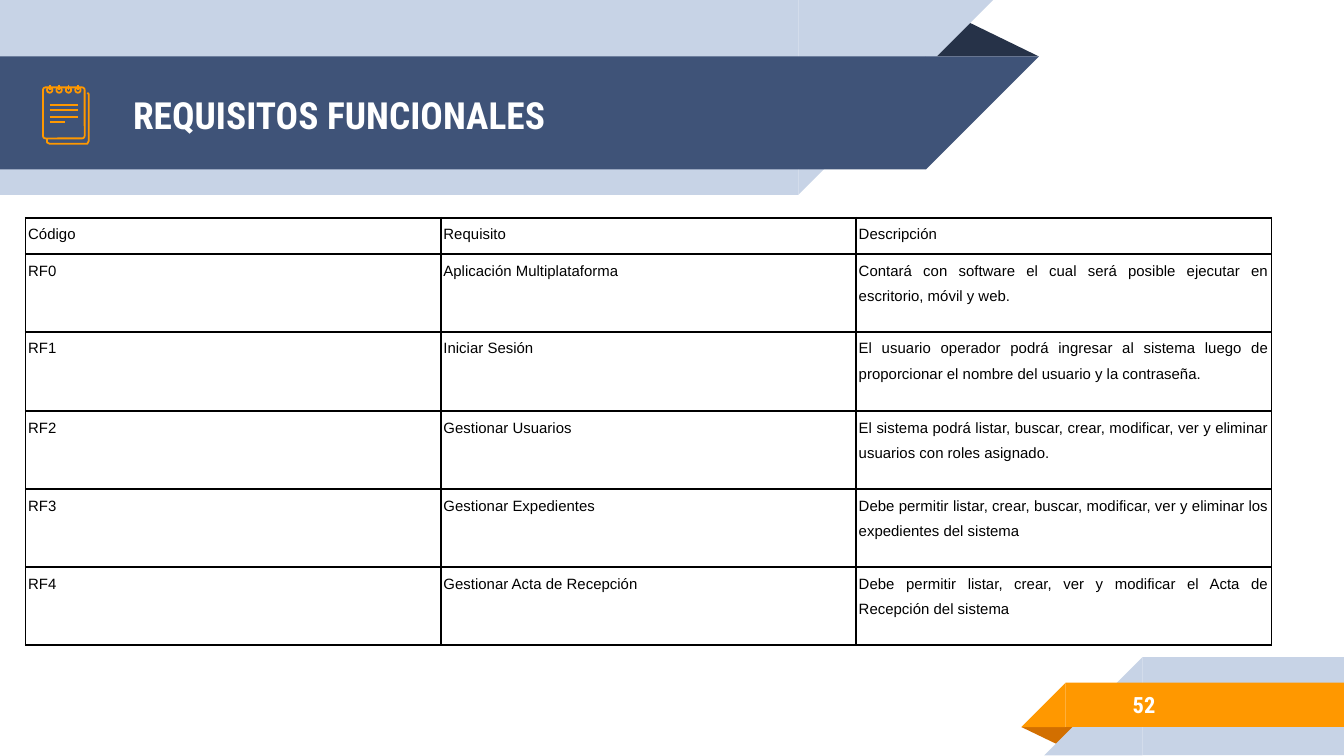
from pptx import Presentation
from pptx.dml.color import RGBColor
from pptx.enum.shapes import MSO_CONNECTOR, MSO_SHAPE
from pptx.enum.text import MSO_ANCHOR, MSO_AUTO_SIZE, PP_ALIGN
from pptx.oxml import parse_xml
from pptx.oxml.ns import nsdecls
from pptx.util import Inches, Pt

TITLE = "REQUISITOS FUNCIONALES"
PAGE_NUMBER = "52"
REQUIREMENTS = [
    ("Código", "Requisito", "Descripción"),
    ("RF0", "Aplicación Multiplataforma",
     "Contará con software el cual será posible ejecutar en escritorio, móvil y web."),
    ("RF1", "Iniciar Sesión",
     "El usuario operador podrá ingresar al sistema luego de proporcionar el nombre "
     "del usuario y la contraseña."),
    ("RF2", "Gestionar Usuarios",
     "El sistema podrá listar, buscar, crear, modificar, ver y eliminar usuarios con "
     "roles asignado."),
    ("RF3", "Gestionar Expedientes",
     "Debe permitir listar, crear, buscar, modificar, ver y eliminar los expedientes "
     "del sistema"),
    ("RF4", "Gestionar Acta de Recepción",
     "Debe permitir listar, crear, ver y modificar el Acta de Recepción del sistema"),
]
ROW_HEIGHTS = [0.27, 0.58, 0.59, 0.58, 0.58, 0.58]
COLUMN_WIDTH = 3.09

NAVY, BLUE, PALE = "263248", "3F5378", "C7D3E6"
ORANGE, RUST, WHITE, BLACK = "FF9800", "D26F00", "FFFFFF", "000000"
RECT, CORNER, FOLD = MSO_SHAPE.RECTANGLE, MSO_SHAPE.RIGHT_TRIANGLE, MSO_SHAPE.ISOSCELES_TRIANGLE
RIBBONS = [
    (FOLD, 6.88, 0.14, 0.85, 0.28, 0, NAVY),
    (RECT, 0, 0, 5.94, 1.45, 0, PALE),
    (CORNER, 5.94, 0, 1.45, 1.45, 90, PALE),
    (RECT, 0, 0.42, 6.89, 0.84, 0, BLUE),
    (CORNER, 6.89, 0.42, 0.84, 0.84, 90, BLUE),
    (FOLD, 7.6, 5.41, 0.43, 0.14, 180, RUST),
    (RECT, 8.5, 4.89, 1.5, 0.73, 0, PALE),
    (CORNER, 7.77, 4.89, 0.73, 0.73, 270, PALE),
    (RECT, 7.93, 5.08, 2.07, 0.33, 0, ORANGE),
    (CORNER, 7.6, 5.08, 0.33, 0.33, 270, ORANGE),
]
BACK_PAGE = [(0.35, 1.03), (0.35, 1.06), (0.37, 1.07), (0.65, 1.07),
             (0.66, 1.05), (0.66, 0.7), (0.65, 0.69)]
RING_CENTRES = [0.37, 0.44, 0.51, 0.58]
WRITTEN_LINES = [(0.58, 0.78), (0.58, 0.82), (0.58, 0.87), (0.48, 0.91)]


def color(value):
    return RGBColor.from_string(value)


def outline(shape):
    shape.shadow.inherit = False
    shape.fill.background()
    shape.line.color.rgb = color(ORANGE)
    shape.line.width = Pt(0.96)


def add_ribbon(slide, preset, left, top, width, height, rotation, fill):
    ribbon = slide.shapes.add_shape(
        preset, Inches(left), Inches(top), Inches(width), Inches(height))
    ribbon.shadow.inherit = False
    ribbon.rotation = rotation
    ribbon.fill.solid()
    ribbon.fill.fore_color.rgb = color(fill)
    ribbon.line.fill.background()
    if preset == FOLD:
        ribbon.adjustments[0] = 0.324


def add_stroke(slide, x1, y1, x2, y2):
    stroke = slide.shapes.add_connector(
        MSO_CONNECTOR.STRAIGHT, Inches(x1), Inches(y1), Inches(x2), Inches(y2))
    stroke.line.color.rgb = color(ORANGE)
    stroke.line.width = Pt(0.96)
    stroke._element.spPr.append(parse_xml(f"<a:effectLst {nsdecls('a')}/>"))


def add_notepad(slide):
    builder = slide.shapes.build_freeform(
        Inches(BACK_PAGE[0][0]), Inches(BACK_PAGE[0][1]))
    builder.add_line_segments(
        [(Inches(x), Inches(y)) for x, y in BACK_PAGE[1:]], close=False)
    outline(builder.convert_to_shape())
    front_page = slide.shapes.add_shape(
        MSO_SHAPE.ROUNDED_RECTANGLE, Inches(0.32), Inches(0.65), Inches(0.31), Inches(0.38))
    front_page.adjustments[0] = 0.06
    outline(front_page)
    for x in RING_CENTRES:
        outline(slide.shapes.add_shape(
            MSO_SHAPE.OVAL, Inches(x - 0.02), Inches(0.65), Inches(0.04), Inches(0.04)))
        add_stroke(slide, x, 0.63, x, 0.67)
    for right, y in WRITTEN_LINES:
        add_stroke(slide, 0.37, y, right, y)


def write_heading(box, text, size, left, top, width, height):
    box.left, box.top, box.width, box.height = map(Inches, (left, top, width, height))
    frame = box.text_frame
    frame.text = text
    frame.word_wrap = True
    frame.auto_size = MSO_AUTO_SIZE.NONE
    frame.vertical_anchor = MSO_ANCHOR.MIDDLE
    frame.margin_left = frame.margin_right = Inches(0.1)
    frame.margin_top = frame.margin_bottom = Inches(0.1)
    frame.paragraphs[0].alignment = PP_ALIGN.LEFT
    font = frame.paragraphs[0].runs[0].font
    font.name, font.size, font.bold = "Roboto Condensed", Pt(size), True
    font.color.rgb = color(WHITE)


def format_cell(cell, text):
    cell.text_frame.text = text
    cell.margin_left = cell.margin_right = Inches(0.02)
    cell.margin_top = cell.margin_bottom = 0
    cell.fill.background()
    paragraph = cell.text_frame.paragraphs[0]
    paragraph.alignment = PP_ALIGN.JUSTIFY
    paragraph.line_spacing = 1.5
    paragraph.space_after = Pt(8)
    font = paragraph.runs[0].font
    font.name, font.size = "Arial", Pt(8)
    font.color.rgb = color(BLACK)
    properties = cell._tc.get_or_add_tcPr()
    for position, side in enumerate("LRTB"):
        properties.insert(position, parse_xml(
            f'<a:ln{side} {nsdecls("a")} w="{Pt(1)}"><a:solidFill>'
            f'<a:srgbClr val="{BLACK}"/></a:solidFill></a:ln{side}>'))


def add_requirements(slide):
    columns = len(REQUIREMENTS[0])
    table = slide.shapes.add_table(
        len(REQUIREMENTS), columns, Inches(0.19), Inches(1.62),
        Inches(COLUMN_WIDTH * columns), Inches(sum(ROW_HEIGHTS))).table
    table.first_row = table.horz_banding = False
    for column in table.columns:
        column.width = Inches(COLUMN_WIDTH)
    for row, height, requirement in zip(table.rows, ROW_HEIGHTS, REQUIREMENTS):
        row.height = Inches(height)
        for cell, text in zip(row.cells, requirement):
            format_cell(cell, text)


def main():
    """Build the functional requirements slide."""
    deck = Presentation()
    deck.slide_width = Inches(10)
    deck.slide_height = deck.slide_width * 9 // 16
    slide = deck.slides.add_slide(deck.slide_layouts[5])
    for ribbon in RIBBONS:
        add_ribbon(slide, *ribbon)
    add_notepad(slide)
    title = slide.shapes.title
    slide.shapes._spTree.append(title._element)
    write_heading(title, TITLE, 20, 0.89, 0.43, 5.75, 0.84)
    number = slide.shapes.add_textbox(0, 0, 0, 0)
    write_heading(number, PAGE_NUMBER, 12, 8.33, 5.07, 1.63, 0.35)
    add_requirements(slide)
    deck.save("out.pptx")


if __name__ == "__main__":
    main()
